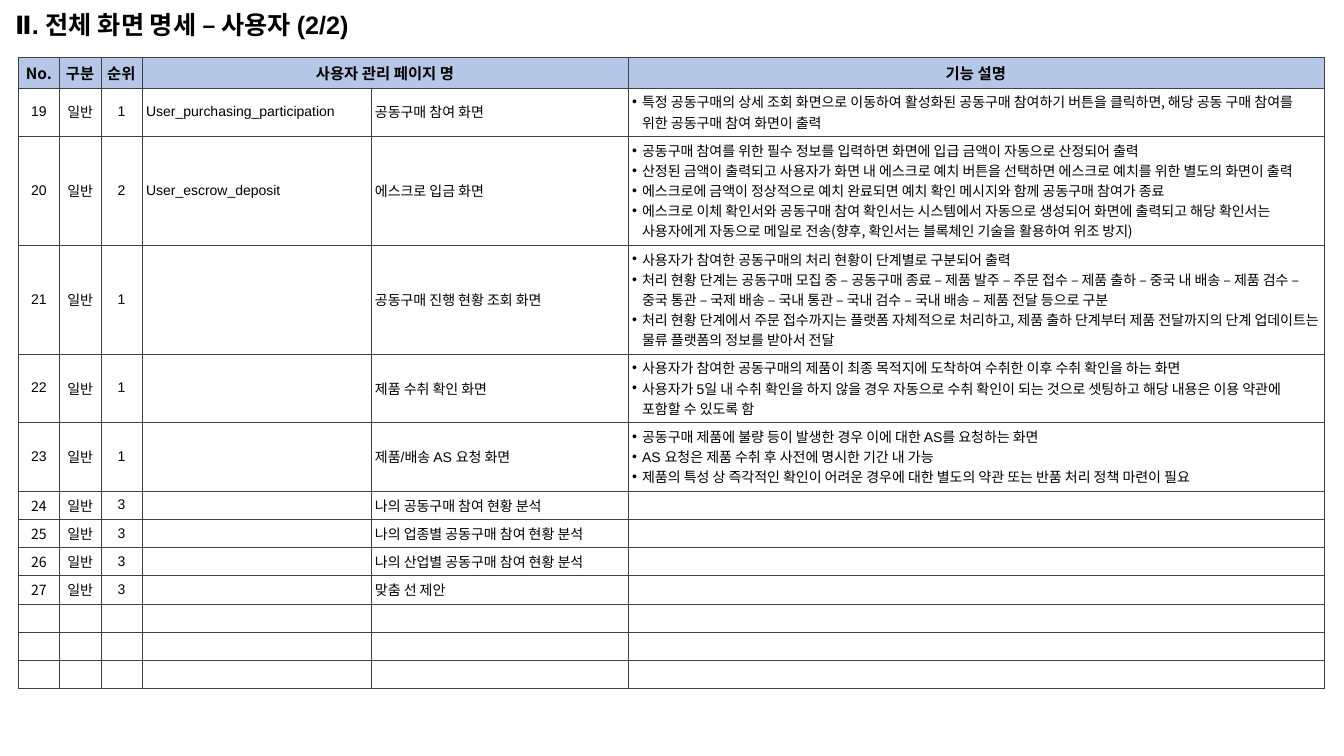
from dataclasses import dataclass

import lxml.etree
import pptx
import pptx.dml.color
import pptx.enum.text
import pptx.oxml.ns
import pptx.util

BLACK = pptx.dml.color.RGBColor(0x00, 0x00, 0x00)
WHITE = pptx.dml.color.RGBColor(0xFF, 0xFF, 0xFF)
HEADER_BLUE = pptx.dml.color.RGBColor(0xB4, 0xC7, 0xE7)
BORDER_GRAY = pptx.dml.color.RGBColor(0x40, 0x40, 0x40)

LATIN_FONT = "Arial"
KOREAN_FONT = "Noto Sans CJK KR"
LEFT = pptx.enum.text.PP_ALIGN.LEFT
CENTER = pptx.enum.text.PP_ALIGN.CENTER
MIDDLE = pptx.enum.text.MSO_ANCHOR.MIDDLE

# Grid in inches: a row is its padding plus its text lines
COLUMN_WIDTHS = (0.41, 0.41, 0.41, 2.27, 2.55, 6.9)
HEADER_HEIGHT = 0.3
CELL_MARGIN = 0.04
LINE_HEIGHT = 0.2
BULLET_INDENT = 0.1
EMPTY_ROWS = 3

HEADERS = ("No.", "구분", "순위", "사용자 관리 페이지 명", "", "기능 설명")


@dataclass(frozen=True)
class Screen:
    number: int
    rank: int
    name: str
    page: str = ""
    functions: tuple[str, ...] = ()
    lines: int = 1
    number_font: str = LATIN_FONT
    function_font: str = KOREAN_FONT


SCREENS = (
    Screen(19, 1, "공동구매 참여 화면", "User_purchasing_participation", (
        "특정 공동구매의 상세 조회 화면으로 이동하여 활성화된 공동구매 참여하기 버튼을 클릭하면, "
        "해당 공동 구매 참여를 위한 공동구매 참여 화면이 출력",
    ), lines=2),
    Screen(20, 2, "에스크로 입금 화면", "User_escrow_deposit", (
        "공동구매 참여를 위한 필수 정보를 입력하면 화면에 입급 금액이 자동으로 산정되어 출력",
        "산정된 금액이 출력되고 사용자가 화면 내 에스크로 예치 버튼을 선택하면 "
        "에스크로 예치를 위한 별도의 화면이 출력",
        "에스크로에 금액이 정상적으로 예치 완료되면 예치 확인 메시지와 함께 공동구매 참여가 종료",
        "에스크로 이체 확인서와 공동구매 참여 확인서는 시스템에서 자동으로 생성되어 화면에 출력되고 "
        "해당 확인서는 사용자에게 자동으로 메일로 전송(향후, 확인서는 블록체인 기술을 활용하여 위조 방지)",
    ), lines=5),
    Screen(21, 1, "공동구매 진행 현황 조회 화면", functions=(
        "사용자가 참여한 공동구매의 처리 현황이 단계별로 구분되어 출력",
        "처리 현황 단계는 공동구매 모집 중 – 공동구매 종료 – 제품 발주 – 주문 접수 – 제품 출하 – "
        "중국 내 배송 – 제품 검수 – 중국 통관 – 국제 배송 – 국내 통관 – 국내 검수 – 국내 배송 – "
        "제품 전달 등으로 구분",
        "처리 현황 단계에서 주문 접수까지는 플랫폼 자체적으로 처리하고, "
        "제품 출하 단계부터 제품 전달까지의 단계 업데이트는 물류 플랫폼의 정보를 받아서 전달",
    ), lines=5),
    Screen(22, 1, "제품 수취 확인 화면", functions=(
        "사용자가 참여한 공동구매의 제품이 최종 목적지에 도착하여 수취한 이후 수취 확인을 하는 화면",
        "사용자가 5일 내 수취 확인을 하지 않을 경우 자동으로 수취 확인이 되는 것으로 셋팅하고 "
        "해당 내용은 이용 약관에 포함할 수 있도록 함",
    ), lines=3, function_font=LATIN_FONT),
    Screen(23, 1, "제품/배송 AS 요청 화면", functions=(
        "공동구매 제품에 불량 등이 발생한 경우 이에 대한 AS를 요청하는 화면",
        "AS 요청은 제품 수취 후 사전에 명시한 기간 내 가능",
        "제품의 특성 상 즉각적인 확인이 어려운 경우에 대한 별도의 약관 또는 반품 처리 정책 마련이 필요",
    ), lines=3, function_font=LATIN_FONT),
    Screen(24, 3, "나의 공동구매 참여 현황 분석", number_font=KOREAN_FONT),
    Screen(25, 3, "나의 업종별 공동구매 참여 현황 분석", number_font=KOREAN_FONT),
    Screen(26, 3, "나의 산업별 공동구매 참여 현황 분석", number_font=KOREAN_FONT),
    Screen(27, 3, "맞춤 선 제안", number_font=KOREAN_FONT),
)


def add_element(parent, tag: str, **attributes: str):
    return lxml.etree.SubElement(parent, pptx.oxml.ns.qn(tag), attributes)


def write_text(text_frame, *texts: str, font: str = LATIN_FONT, size: float = 10,
               bold: bool = False, align=LEFT, bulleted: bool = False) -> None:
    """Write one paragraph per text; an empty text only sets the line size."""
    for index, text in enumerate(texts):
        paragraph = text_frame.paragraphs[0] if index == 0 else text_frame.add_paragraph()
        paragraph.alignment = align
        if bulleted:
            properties = paragraph._p.get_or_add_pPr()
            indent = pptx.util.Inches(BULLET_INDENT)
            properties.set("marL", str(indent))
            properties.set("indent", str(-indent))
            add_element(properties, "a:buFont", typeface=LATIN_FONT)
            add_element(properties, "a:buChar", char="•")
        if not text:
            add_element(paragraph._p, "a:endParaRPr", sz=str(int(size * 100)))
            continue
        run = paragraph.add_run()
        run.text = text
        run.font.size = pptx.util.Pt(size)
        run.font.bold = bold
        run.font.color.rgb = BLACK
        run.font.name = font
        add_element(run._r.get_or_add_rPr(), "a:ea", typeface=KOREAN_FONT)


def format_cell(cell, fill_color: pptx.dml.color.RGBColor) -> None:
    margin = pptx.util.Inches(CELL_MARGIN)
    cell.margin_left = cell.margin_right = margin
    cell.margin_top = cell.margin_bottom = margin
    cell.vertical_anchor = MIDDLE
    properties = cell._tc.get_or_add_tcPr()
    # Borders come before the fill in the cell properties
    for side in ("a:lnL", "a:lnR", "a:lnT", "a:lnB"):
        line = add_element(properties, side, w=str(pptx.util.Pt(0.25)))
        line_fill = add_element(line, "a:solidFill")
        add_element(line_fill, "a:srgbClr", val=str(BORDER_GRAY))
    cell.fill.solid()
    cell.fill.fore_color.rgb = fill_color


def fill_screen_row(table, row: int, screen: Screen) -> None:
    number, division, rank, page, name, functions = (
        table.cell(row, column).text_frame for column in range(len(COLUMN_WIDTHS)))
    write_text(number, str(screen.number), font=screen.number_font, align=CENTER)
    write_text(division, "일반", font=screen.number_font, align=CENTER)
    write_text(rank, str(screen.rank), align=CENTER)
    write_text(page, screen.page)
    write_text(name, screen.name)
    write_text(functions, *(screen.functions or ("",)), font=screen.function_font,
               bulleted=bool(screen.functions))


def add_screen_table(slide) -> None:
    line_counts = [screen.lines for screen in SCREENS] + [1] * EMPTY_ROWS
    heights = [HEADER_HEIGHT] + [2 * CELL_MARGIN + LINE_HEIGHT * count for count in line_counts]
    table = slide.shapes.add_table(
        len(heights), len(COLUMN_WIDTHS), pptx.util.Inches(0.18), pptx.util.Inches(0.57),
        pptx.util.Inches(sum(COLUMN_WIDTHS)), pptx.util.Inches(sum(heights))).table
    table.first_row = table.horz_banding = False
    for column, width in zip(table.columns, COLUMN_WIDTHS):
        column.width = pptx.util.Inches(width)
    for index, height in enumerate(heights):
        table.rows[index].height = pptx.util.Inches(height)
        for cell in table.rows[index].cells:
            format_cell(cell, WHITE if index else HEADER_BLUE)

    # Header row, with one heading over both page columns
    for column, heading in enumerate(HEADERS):
        write_text(table.cell(0, column).text_frame, heading, font=KOREAN_FONT,
                   size=11, bold=True, align=CENTER)
    table.cell(0, 3).merge(table.cell(0, 4))

    # Screens, then blank rows
    for row, screen in enumerate(SCREENS, start=1):
        fill_screen_row(table, row, screen)
    for row in range(len(SCREENS) + 1, len(heights)):
        for cell in table.rows[row].cells:
            write_text(cell.text_frame, "")


def add_title(slide) -> None:
    title = slide.shapes.title
    title.left, title.top = pptx.util.Inches(0.05), pptx.util.Inches(0.04)
    title.width, title.height = pptx.util.Inches(4.04), pptx.util.Inches(0.4)
    title.text_frame.word_wrap = False
    title.text_frame.auto_size = pptx.enum.text.MSO_AUTO_SIZE.SHAPE_TO_FIT_TEXT
    title.text_frame.vertical_anchor = pptx.enum.text.MSO_ANCHOR.TOP
    write_text(title.text_frame, "Ⅱ. 전체 화면 명세 – 사용자 (2/2)", size=18, bold=True)


def main() -> None:
    presentation = pptx.Presentation()
    presentation.slide_width = pptx.util.Inches(13.33)
    presentation.slide_height = pptx.util.Inches(7.5)
    slide = presentation.slides.add_slide(presentation.slide_layouts.get_by_name("Title Only"))
    add_screen_table(slide)
    add_title(slide)
    presentation.save("out.pptx")


if __name__ == "__main__":
    main()
